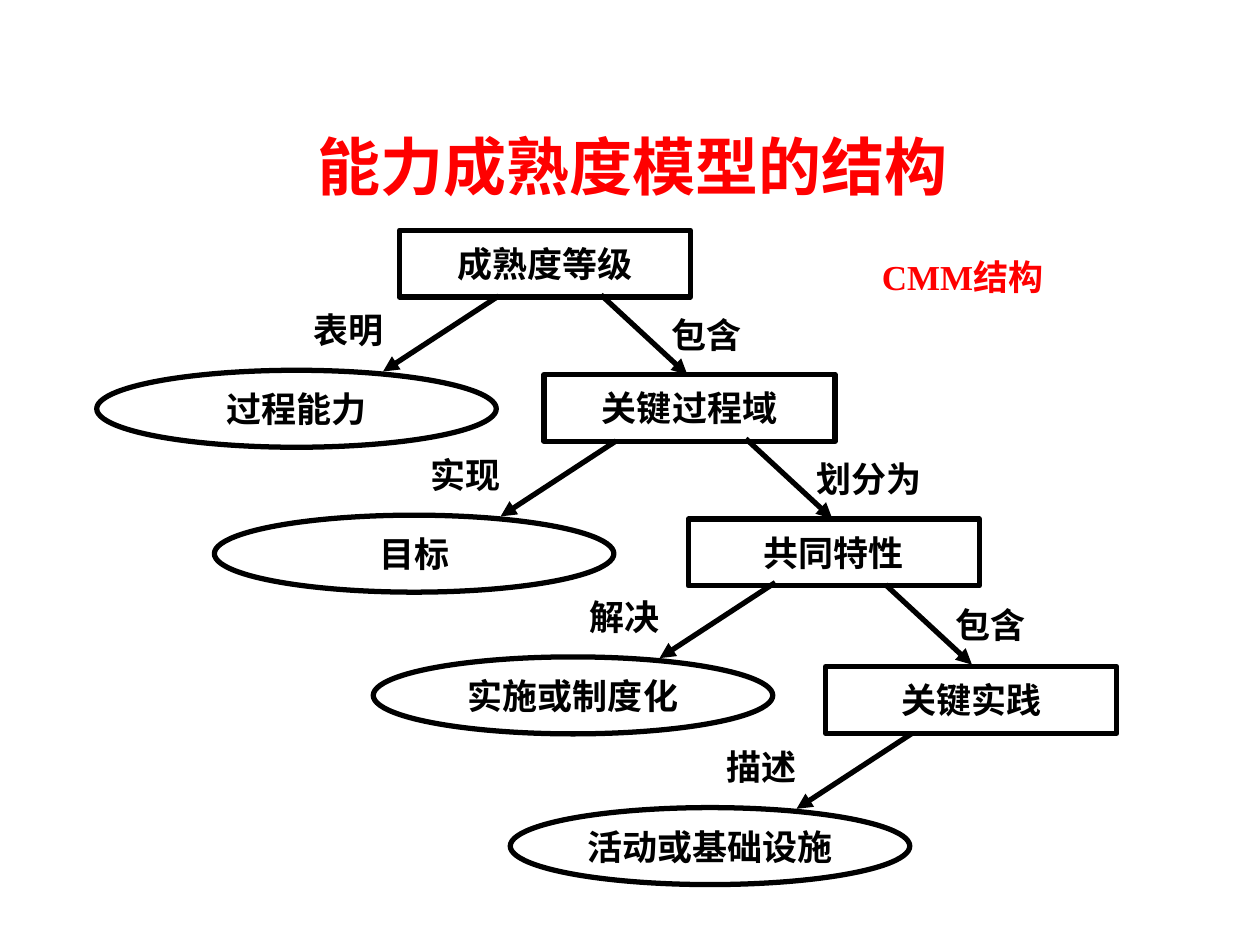
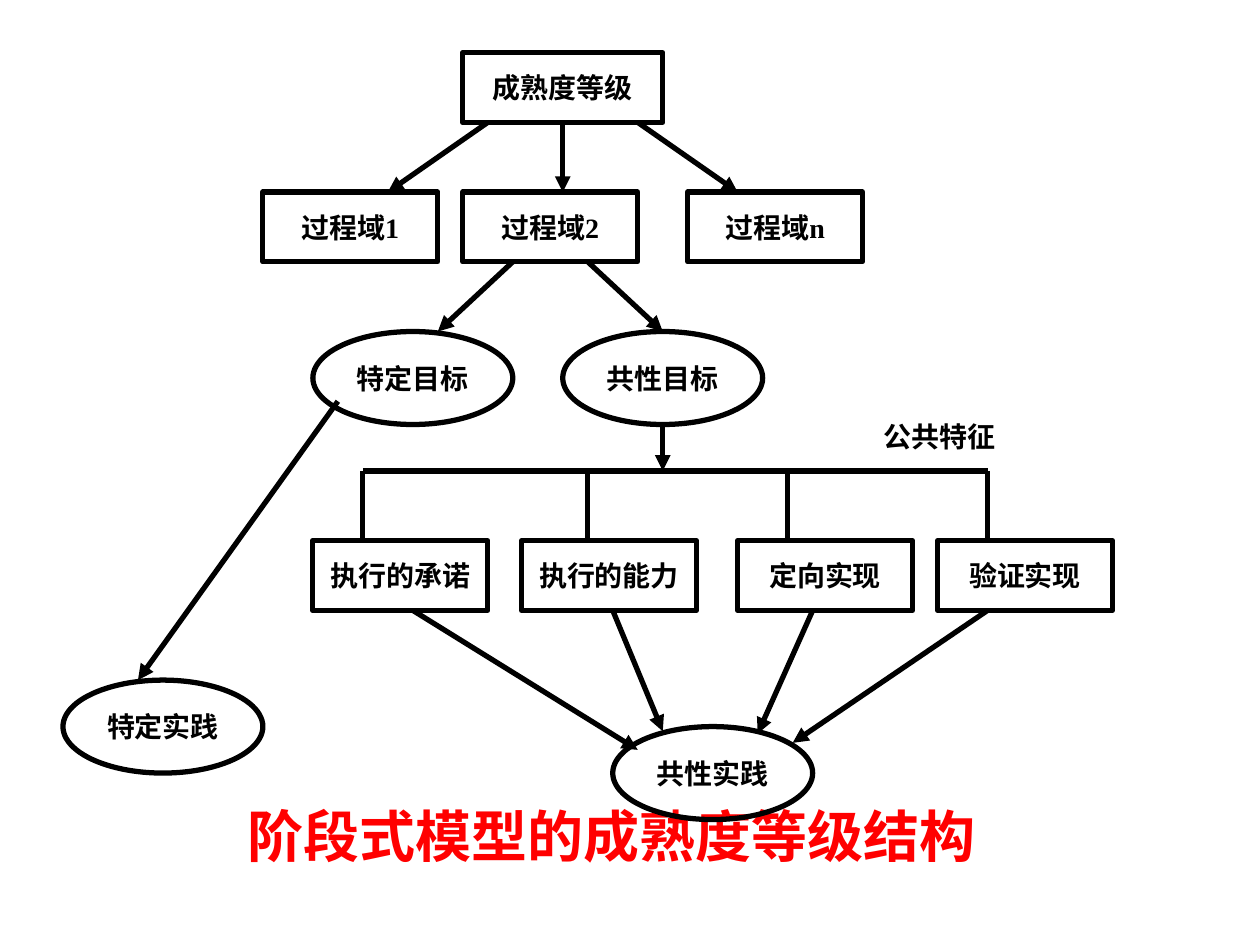
from dataclasses import dataclass

from pptx import Presentation
from pptx.dml.color import RGBColor
from pptx.enum.shapes import MSO_CONNECTOR as Connector, MSO_SHAPE as Preset
from pptx.enum.text import MSO_ANCHOR as Anchor, PP_ALIGN as Align
from pptx.oxml.ns import qn
from pptx.oxml.xmlchemy import OxmlElement
from pptx.slide import Slide
from pptx.util import Pt

# Shared style
BLACK = "000000"
RED = "FF0000"
BODY_FONT = "Times New Roman"
TITLE_FONT = "Arial"
LINE_WIDTH = 3


@dataclass
class TextStyle:
    size: float
    colour: str = BLACK
    font: str = BODY_FONT
    align: Align = Align.CENTER
    anchor: Anchor = Anchor.MIDDLE


@dataclass
class Box:
    left: float
    top: float
    width: float
    height: float


@dataclass
class Node:
    text: str
    box: Box
    preset: Preset = Preset.RECTANGLE


@dataclass
class Link:
    from_x: float
    from_y: float
    to_x: float
    to_y: float
    arrow: bool = True


def colour_of(value: str) -> RGBColor:
    return RGBColor.from_string(value)


def lengths(box: Box) -> tuple:
    return Pt(box.left), Pt(box.top), Pt(box.width), Pt(box.height)


def write_text(shape, text: str, style: TextStyle) -> None:
    frame = shape.text_frame
    frame.word_wrap = True
    frame.vertical_anchor = style.anchor
    paragraph = frame.paragraphs[0]
    paragraph.alignment = style.align
    run = paragraph.add_run()
    run.text = text
    run.font.name = style.font
    run.font.size = Pt(style.size)
    run.font.bold = True
    run.font.color.rgb = colour_of(style.colour)


def draw_label(slide: Slide, text: str, box: Box, style: TextStyle) -> None:
    write_text(slide.shapes.add_textbox(*lengths(box)), text, style)


def draw_node(slide: Slide, node: Node, style: TextStyle) -> None:
    shape = slide.shapes.add_shape(node.preset, *lengths(node.box))
    shape.shadow.inherit = False
    shape.fill.background()
    shape.line.color.rgb = colour_of(BLACK)
    shape.line.width = Pt(LINE_WIDTH)
    write_text(shape, node.text, style)


def draw_link(slide: Slide, link: Link) -> None:
    connector = slide.shapes.add_connector(
        Connector.STRAIGHT,
        Pt(link.from_x), Pt(link.from_y), Pt(link.to_x), Pt(link.to_y))
    connector.line.color.rgb = colour_of(BLACK)
    connector.line.width = Pt(LINE_WIDTH)
    properties = connector._element.spPr
    if link.arrow:
        head = OxmlElement("a:tailEnd")
        head.set("type", "triangle")
        properties.find(qn("a:ln")).append(head)
    properties.append(OxmlElement("a:effectLst"))


def build_model_structure(slide: Slide) -> None:
    node_style = TextStyle(20)
    label_style = TextStyle(20, align=Align.LEFT)

    # Staircase of levels
    levels = [("成熟度等级", 228.2, 131.6), ("关键过程域", 310.9, 214),
              ("共同特性", 393.3, 296.6), ("关键实践", 471.8, 380.9)]
    for text, left, top in levels:
        draw_node(slide, Node(text, Box(left, top, 166.3, 38.2)), node_style)

    # Steps down to the next level
    steps = [("包含", 343.4, 168.5), ("划分为", 426.2, 250.7),
             ("包含", 506, 334.1)]
    for text, x, y in steps:
        draw_link(slide, Link(x, y, x + 49.4, y + 45.7))
        draw_label(slide, text, Box(x + 33, y + 8.9, 95, 27.4), label_style)

    # Outcome of each level, placed relative to its ellipse
    outcomes = [("表明", "过程能力", 55.3, 211.6),
                ("实现", "目标", 122.5, 294.4),
                ("解决", "实施或制度化", 213.3, 375.4),
                ("描述", "活动或基础设施", 291.6, 461.5)]
    for verb, text, left, top in outcomes:
        draw_link(slide, Link(left + 229.7, top - 42.5, left + 163.6, top + 0.7))
        draw_node(slide, Node(text, Box(left, top, 228.3, 44), Preset.OVAL),
                  node_style)
        draw_label(slide, verb, Box(left + 116.7, top - 36, 80, 25.2),
                   label_style)

    draw_label(slide, "CMM结构", Box(493.2, 141.1, 113.8, 33.8),
               TextStyle(20, RED))
    draw_label(slide, "能力成熟度模型的结构", Box(55.4, 64.8, 612, 59.8),
               TextStyle(36, RED, TITLE_FONT))


# The staged model sits on a grid of columns and rows
def column_x(column: float) -> float:
    return 36 + 14.28 * column


def row_y(row: float) -> float:
    return 30.1 + 13.28 * row


def grid_box(column: float, row: float, columns: float, rows: float) -> Box:
    return Box(column_x(column), row_y(row), 14.28 * columns, 13.28 * rows)


def grid_link(from_column: float, from_row: float, to_column: float,
              to_row: float, arrow: bool = True) -> Link:
    return Link(column_x(from_column), row_y(from_row),
                column_x(to_column), row_y(to_row), arrow)


def build_staged_model(slide: Slide) -> None:
    node_style = TextStyle(16)
    draw_label(slide, "阶段式模型的成熟度等级结构", Box(19.4, 454.3, 660.2, 48.2),
               TextStyle(32, RED, TITLE_FONT, anchor=Anchor.TOP))

    # Maturity level, process areas and common features
    draw_node(slide, Node("成熟度等级", grid_box(16, 0, 8, 3)), node_style)
    rectangles = [("过程域1", 8, 6), ("过程域2", 16, 6), ("过程域n", 25, 6),
                  ("执行的承诺", 10, 21), ("执行的能力", 18.35, 21),
                  ("定向实现", 27, 21), ("验证实现", 35, 21)]
    for text, column, row in rectangles:
        draw_node(slide, Node(text, grid_box(column, row, 7, 3)), node_style)

    # Goals and practices
    ellipses = [("特定目标", 10, 12), ("共性目标", 20, 12),
                ("特定实践", 0, 27), ("共性实践", 22, 29)]
    for text, column, row in ellipses:
        draw_node(slide, Node(text, grid_box(column, row, 8, 4), Preset.OVAL),
                  node_style)

    # Bracket over the common features
    draw_link(slide, grid_link(12, 18, 37, 18, arrow=False))
    for column in (12, 21, 29, 37):
        draw_link(slide, grid_link(column, 18, column, 21, arrow=False))

    # Arrows: from column and row, to column and row
    arrows = [(17, 3, 13, 6), (20, 3, 20, 6), (23, 3, 27, 6),
              (18, 9, 15, 12), (21, 9, 24, 12),
              (24, 16, 24, 18), (11, 15, 3, 27),
              (14, 24, 23, 30), (22, 24, 24, 29.2),
              (30, 24, 27.8, 29.3), (37, 24, 29.2, 29.7)]
    for arrow in arrows:
        draw_link(slide, grid_link(*arrow))

    draw_label(slide, "公共特征", Box(491.8, 228.2, 90, 41.8), node_style)


def main() -> None:
    presentation = Presentation()
    presentation.slide_width = Pt(720)
    presentation.slide_height = Pt(540)
    blank = presentation.slide_layouts[6]
    for build in (build_model_structure, build_staged_model):
        build(presentation.slides.add_slide(blank))
    presentation.save("out.pptx")


if __name__ == "__main__":
    main()
